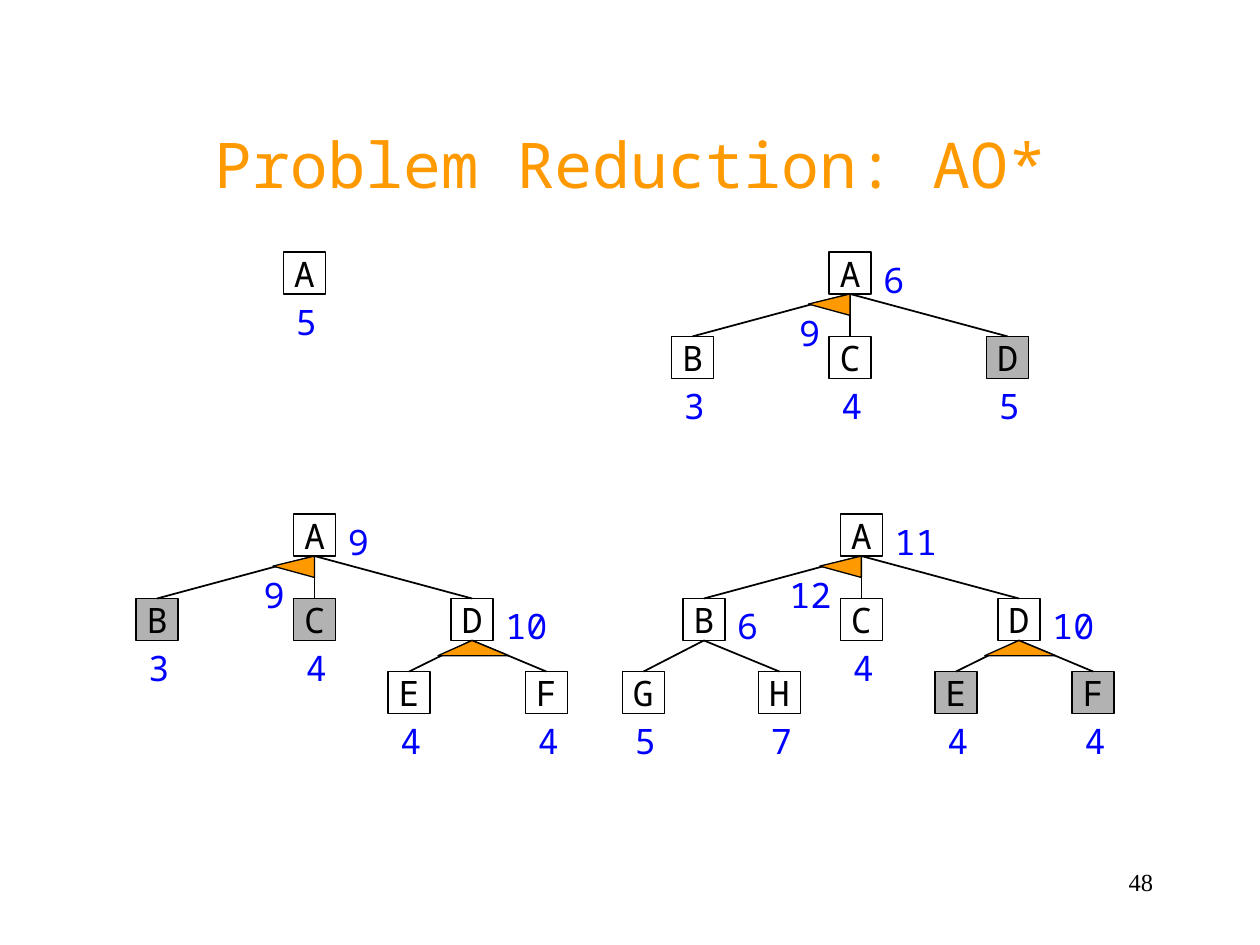
"""Build the AO* problem reduction slide with four search trees."""
from dataclasses import dataclass

from lxml import etree
from pptx import Presentation
from pptx.dml.color import RGBColor
from pptx.enum.shapes import MSO_CONNECTOR, MSO_SHAPE
from pptx.enum.text import MSO_ANCHOR, MSO_AUTO_SIZE, PP_ALIGN
from pptx.oxml.ns import qn
from pptx.util import Inches, Pt

RECT = MSO_SHAPE.RECTANGLE
STRAIGHT = MSO_CONNECTOR.STRAIGHT
MIDDLE = MSO_ANCHOR.MIDDLE
NO_FIT, GROW = MSO_AUTO_SIZE.NONE, MSO_AUTO_SIZE.SHAPE_TO_FIT_TEXT
LEFT, CENTER, RIGHT = PP_ALIGN.LEFT, PP_ALIGN.CENTER, PP_ALIGN.RIGHT
TOP_SIDE, BOTTOM_SIDE = 0, 2

MONO, SERIF = "Noto Sans Mono", "Times New Roman"
BLACK, BLUE, ORANGE, GRAY = "000000", "0000FF", "FF9900", "B2B2B2"
NODE = 1 / 3
BRANCH = 1.25
COST_H = 0.44
LEFT_ARC = ((0, 0), (-0.33, 0.08), (0, 0.17))
WIDE_ARC = ((0, 0), (-0.27, 0.12), (0.29, 0.12))


@dataclass(frozen=True)
class Node:
    """A tree node, placed sideways from its parent by dx."""
    name: str
    cost: str
    dx: float = 0
    shaded: bool = False
    children: tuple["Node", ...] = ()
    drop: float = 0.67
    arc: tuple[tuple[float, float], ...] = ()
    arc_cost: str = ""


@dataclass(frozen=True)
class Tree:
    """A root node and its top left corner."""
    x: float
    y: float
    root: Node


def pair_d(shaded: bool = False) -> Node:
    """Return node D expanded into E and F."""
    leaves = (Node("E", "4", -0.5, shaded), Node("F", "4", 0.59, shaded))
    return Node("D", "10", BRANCH, children=leaves, drop=0.58, arc=WIDE_ARC)


def root_a(cost: str, arc_cost: str, *children: Node) -> Node:
    """Return root A with B and C joined by an arc."""
    return Node("A", cost, children=children, arc=LEFT_ARC, arc_cost=arc_cost)


EXPANDED_B = Node("B", "6", -BRANCH, drop=0.58,
                  children=(Node("G", "5", -0.48), Node("H", "7", 0.6)))
TREES = (
    Tree(2.25, 2, Node("A", "5")),
    Tree(6.58, 2, root_a("6", "9", Node("B", "3", -BRANCH), Node("C", "4"),
                         Node("D", "5", BRANCH, True))),
    Tree(2.33, 4.08, root_a("9", "9", Node("B", "3", -BRANCH, True),
                            Node("C", "4", shaded=True), pair_d())),
    Tree(6.67, 4.08, root_a("11", "12", EXPANDED_B, Node("C", "4"), pair_d(True))),
)


def rgb(color: str) -> RGBColor:
    """Turn a hex string into a colour."""
    return RGBColor.from_string(color)


def write(sp, text: str, *, size=20, color=BLACK, font=MONO, align=LEFT,
          anchor=MSO_ANCHOR.TOP, wrap=True, fit=NO_FIT) -> None:
    """Write one formatted paragraph into a shape."""
    tf = sp.text_frame
    tf.word_wrap, tf.auto_size, tf.vertical_anchor = wrap, fit, anchor
    p = tf.paragraphs[0]
    p.alignment = align
    r = p.add_run()
    r.text = text
    r.font.name, r.font.size = font, Pt(size)
    r.font.color.rgb = rgb(color)


def set_line(sp, width: float) -> None:
    """Give a shape or connector a black line."""
    sp.line.color.rgb = rgb(BLACK)
    sp.line.width = Pt(width)


def cost_width(cost: str) -> float:
    """Return the box width for a one or two digit cost."""
    return 0.25 + len(cost) / 6


def add_cost(slide, x: float, y: float, cost: str) -> None:
    """Add a blue cost label."""
    sp = slide.shapes.add_textbox(Inches(x), Inches(y),
                                  Inches(cost_width(cost)), Inches(COST_H))
    write(sp, cost, color=BLUE, fit=GROW)


def add_box(slide, x: float, y: float, node: Node):
    """Add the square of a node and return it."""
    sp = slide.shapes.add_shape(RECT, Inches(x), Inches(y), Inches(NODE), Inches(NODE))
    sp.shadow.inherit = False
    if node.shaded:
        sp.fill.solid()
        sp.fill.fore_color.rgb = rgb(GRAY)
    else:
        sp.fill.background()
    set_line(sp, 1)
    write(sp, node.name, align=CENTER, anchor=MIDDLE, wrap=False)
    return sp


def add_edge(slide, parent, child) -> None:
    """Join the bottom of a parent to the top of its child."""
    line = slide.shapes.add_connector(STRAIGHT, 0, 0, 0, 0)
    line.begin_connect(parent, BOTTOM_SIDE)
    line.end_connect(child, TOP_SIDE)
    set_line(line, 1)
    etree.SubElement(line._element.spPr, qn("a:effectLst"))


def add_arc(slide, x: float, y: float, offsets) -> None:
    """Add the orange AND wedge with its tip at x, y."""
    points = [(Inches(x + dx), Inches(y + dy)) for dx, dy in offsets]
    builder = slide.shapes.build_freeform(*points[0])
    builder.add_line_segments(points[1:], close=True)
    sp = builder.convert_to_shape()
    sp.shadow.inherit = False
    sp.fill.solid()
    sp.fill.fore_color.rgb = rgb(ORANGE)
    set_line(sp, 0.75)


def draw_node(slide, node: Node, x: float, y: float):
    """Draw a node with everything under it and return its square."""
    box = add_box(slide, x, y, node)
    for child in node.children:
        add_edge(slide, box, draw_node(slide, child, x + child.dx, y + node.drop))
    if node.children:
        add_cost(slide, x + NODE, y, node.cost)
    else:
        add_cost(slide, x, y + NODE, node.cost)
    if node.arc:
        add_arc(slide, x + NODE / 2, y + NODE, node.arc)
    if node.arc_cost:
        add_cost(slide, x + 0.08 - cost_width(node.arc_cost), y + 0.42, node.arc_cost)
    return box


def main() -> None:
    """Build and save the slide."""
    prs = Presentation()
    prs.slide_width, prs.slide_height = Inches(10), Inches(7.5)
    slide = prs.slides.add_slide(prs.slide_layouts[5])
    title = slide.shapes.title
    title.left, title.top = Inches(0.75), Inches(0.67)
    title.width, title.height = Inches(8.5), Inches(1.25)
    write(title, "Problem Reduction: AO*", size=36, color=ORANGE,
          align=CENTER, anchor=MIDDLE)
    for tree in TREES:
        draw_node(slide, tree.root, tree.x, tree.y)
    number = slide.shapes.add_textbox(Inches(7.17), Inches(6.83),
                                      Inches(2.08), Inches(0.5))
    write(number, "48", size=14, font=SERIF, align=RIGHT)
    prs.save("out.pptx")


if __name__ == "__main__":
    main()
